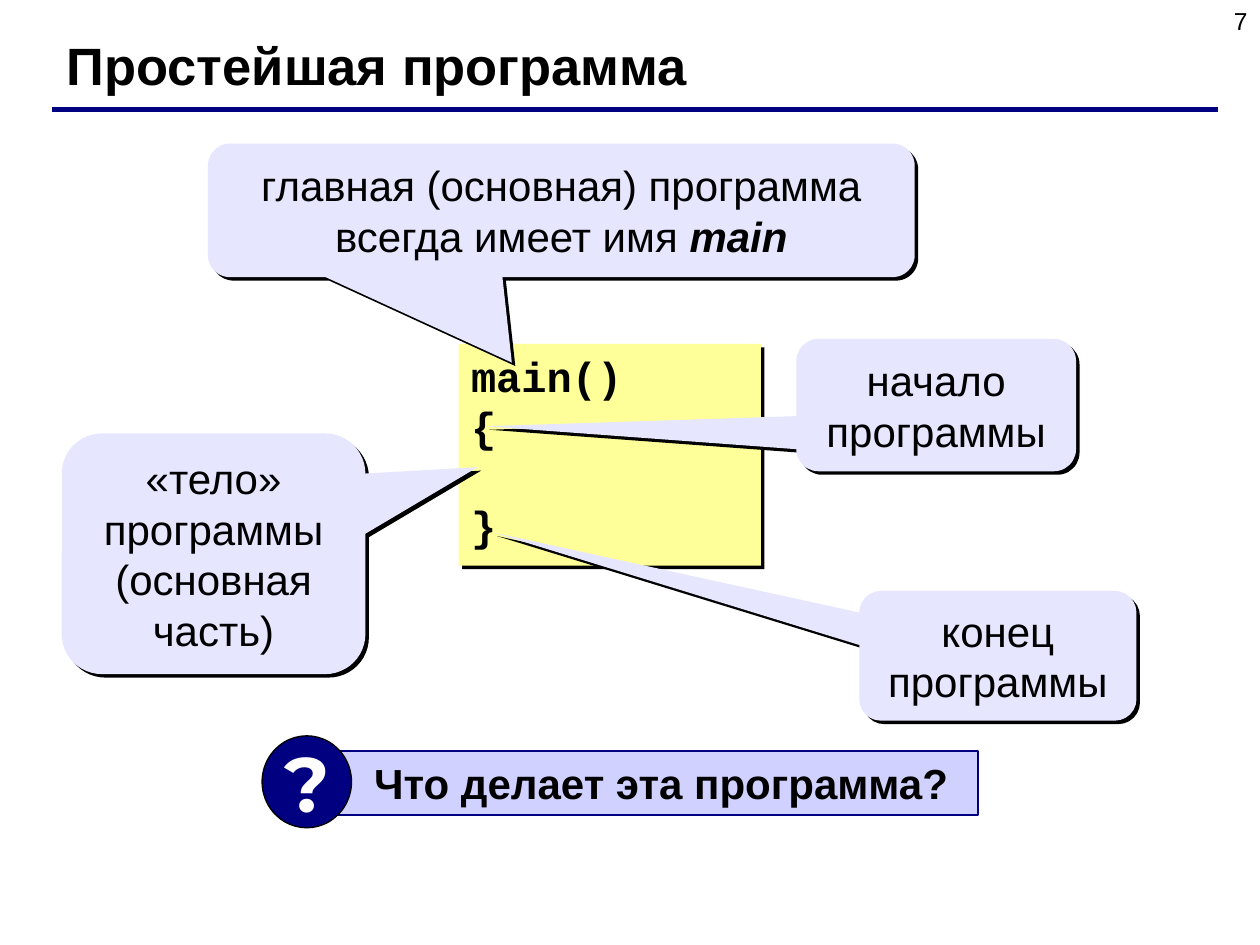
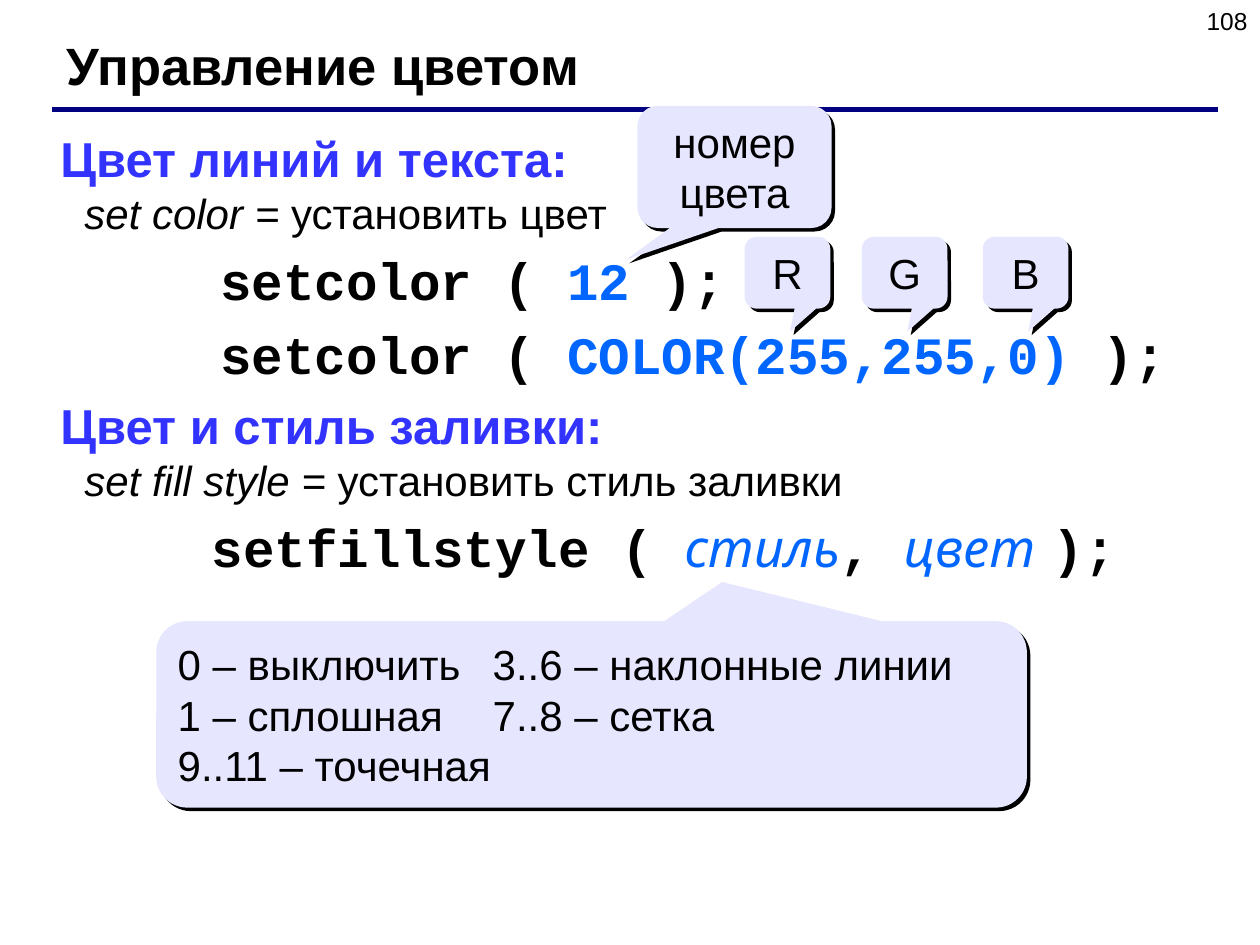
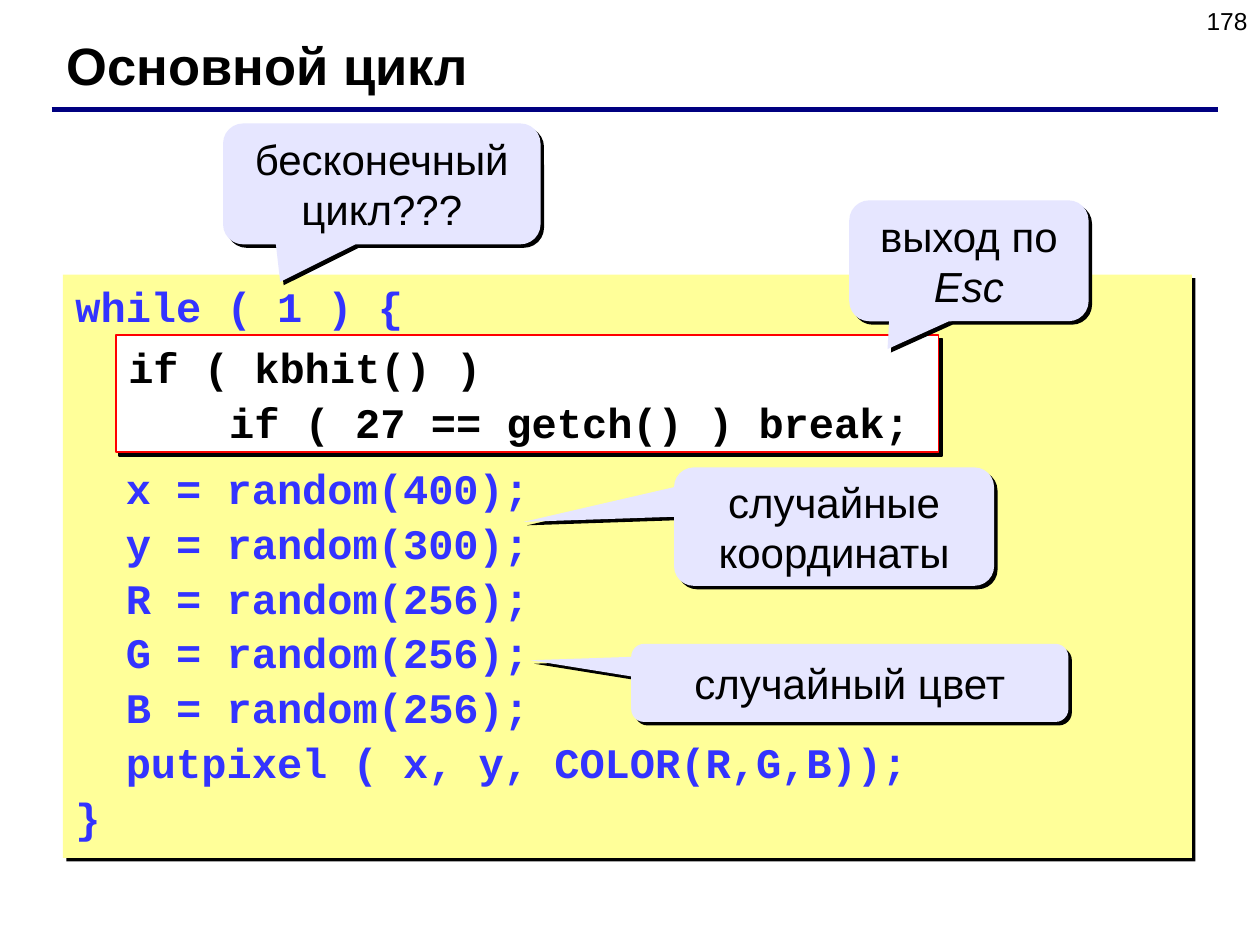
from lxml.etree import SubElement
from pptx import Presentation
from pptx.dml.color import RGBColor
from pptx.enum.shapes import MSO_CONNECTOR, MSO_SHAPE as Shape
from pptx.enum.text import MSO_ANCHOR as Anchor, MSO_AUTO_SIZE, PP_ALIGN as Align
from pptx.oxml.ns import qn
from pptx.util import Inches, Pt

COLORS = {
    "black": "000000", "white": "FFFFFF", "navy": "000080", "red": "FF0000",
    "heading": "3333FF", "argument": "0066FF", "code_box": "FFFF99",
    "callout": "E6E6FF", "question": "D1D1FF",
}
CODE = {"font": "Courier New", "bold": True}


def write(frame, *runs, size=24, font="Arial", color="black", bold=False, italic=False,
          align=Align.LEFT, left=0, before=0, tab=None):
    """Add one paragraph; a run is a string or a (string, own format) pair."""
    paragraph = frame.paragraphs[0]
    if paragraph.runs:
        paragraph = frame.add_paragraph()
    paragraph.alignment = align
    paragraph.space_before = Pt(before)
    properties = paragraph._p.get_or_add_pPr()
    properties.set("marL", str(Inches(left)))
    properties.set("indent", "0")
    SubElement(properties, qn("a:buNone"))
    if tab:
        stops = SubElement(properties, qn("a:tabLst"))
        SubElement(stops, qn("a:tab"), pos=str(Inches(tab)), algn="l")
    base = {"size": size, "font": font, "color": color, "bold": bold, "italic": italic}
    for item in runs:
        text, changes = (item, {}) if isinstance(item, str) else item
        style = {**base, **changes}
        run = paragraph.add_run()
        run.text = text
        run.font.size = Pt(style["size"])
        run.font.name = style["font"]
        run.font.bold = style["bold"]
        run.font.italic = style["italic"]
        run.font.color.rgb = RGBColor.from_string(COLORS[style["color"]])


def add_box(slide, kind, at, fill, line=None, line_width=1, pointer=None, shadow=True,
            anchor=Anchor.MIDDLE):
    """Add a filled shape and return its text frame; pointer is a callout's tip."""
    shape = slide.shapes.add_shape(kind, *map(Inches, at))
    shape.fill.solid()
    shape.fill.fore_color.rgb = RGBColor.from_string(COLORS[fill])
    if line:
        shape.line.color.rgb = RGBColor.from_string(COLORS[line])
        shape.line.width = Pt(line_width)
    else:
        shape.line.fill.background()
    if pointer:
        shape.adjustments[0], shape.adjustments[1] = pointer
    shape.shadow.inherit = False
    if shadow:
        effects = shape._element.spPr.find(qn("a:effectLst"))
        outer = SubElement(effects, qn("a:outerShdw"), dist=str(Pt(2.8)), dir="2700000",
                           algn="ctr", rotWithShape="0")
        SubElement(outer, qn("a:srgbClr"), val=COLORS["black"])
    frame = shape.text_frame
    frame.word_wrap = True
    frame.vertical_anchor = anchor
    return frame


presentation = Presentation()
presentation.slide_width, presentation.slide_height = Inches(10), Inches(7.5)
TITLE_AND_CONTENT, TITLE_ONLY = presentation.slide_layouts[1], presentation.slide_layouts[5]

# Title, rule and page number of every slide
slides = []
for layout, title_text, number in [
    (TITLE_ONLY, "Простейшая программа", "7"),
    (TITLE_AND_CONTENT, "Управление цветом", "108"),
    (TITLE_ONLY, "Основной цикл", "178"),
]:
    slide = presentation.slides.add_slide(layout)
    number_box = slide.shapes.add_textbox(Inches(7.67), 0, Inches(2.33), Inches(0.52))
    number_box.text_frame.word_wrap = True
    write(number_box.text_frame, number, size=14, align=Align.RIGHT)

    rule = slide.shapes.add_connector(
        MSO_CONNECTOR.STRAIGHT, Inches(0.41), Inches(0.87), Inches(9.67), Inches(0.87))
    rule.line.color.rgb = RGBColor.from_string(COLORS["navy"])
    rule.line.width = Pt(3)
    SubElement(rule._element.spPr, qn("a:effectLst"))

    title = slide.shapes.title
    title.left, title.top, title.width, title.height = map(Inches, (0.43, 0.21, 8.9, 0.6))
    title.text_frame.auto_size = MSO_AUTO_SIZE.NONE
    title.text_frame.vertical_anchor = Anchor.MIDDLE
    write(title.text_frame, title_text, size=30, bold=True)
    slides.append(slide)
program_slide, color_slide, loop_slide = slides

# Slide 1: the simplest program
code = add_box(program_slide, Shape.RECTANGLE, (3.64, 2.73, 2.4, 1.76), "code_box",
               anchor=Anchor.TOP)
for line, before in [("main()", 0), ("{", 0), ("}", 28)]:
    write(code, line, before=before, **CODE)

question = add_box(program_slide, Shape.RECTANGLE, (2.59, 5.96, 5.17, 0.51), "question",
                   line="navy", shadow=False)
question.margin_left = Inches(0.38)
write(question, "Что делает эта программа?", bold=True)

question_mark = add_box(program_slide, Shape.OVAL, (2.08, 5.84, 0.71, 0.73), "navy",
                        line="black", line_width=0.75, shadow=False)
question_mark.word_wrap = False
write(question_mark, "?", size=44, font="Montserrat", color="white", bold=True,
      align=Align.CENTER)

# Slide 2: calls that set colours
body = color_slide.placeholders[1]
body.left, body.top, body.width, body.height = map(Inches, (0.38, 0.97, 9.21, 3.74))
text = body.text_frame
text.auto_size = MSO_AUTO_SIZE.NONE
argument = {"color": "argument"}
parameter = {"font": "Comic Neue", "color": "argument", "bold": False, "italic": True}
heading = {"size": 28, "color": "heading", "bold": True}
call = {"size": 30, "before": 6, **CODE}
write(text, "Цвет линий и текста:", **heading)
write(text, ("set color = ", {"italic": True}), "установить цвет", left=0.19)
write(text, "setcolor ( ", ("12 ", argument), ");", left=1.27, **call)
write(text, "setcolor ( ", ("COLOR(255,255,0) ", argument), ");", left=1.27, **call)
write(text, "Цвет и стиль заливки:", before=6, **heading)
write(text, ("set fill style = ", {"italic": True}), "установить стиль заливки", left=0.19)
write(text, "setfillstyle ( ", ("стиль", parameter), ", ", ("цвет ", parameter), ");",
      left=1.2, **call)

styles = add_box(color_slide, Shape.ROUNDED_RECTANGULAR_CALLOUT, (1.24, 4.93, 6.91, 1.48),
                 "callout", pointer=(0.15, -0.71))
for line in ["0 – выключить\t3..6 – наклонные линии", "1 – сплошная\t7..8 – сетка",
             "9..11 – точечная"]:
    write(styles, line, tab=2.63)

# Slide 3: the main loop
code = add_box(loop_slide, Shape.RECTANGLE, (0.5, 2.18, 8.96, 4.63), "code_box",
               anchor=Anchor.TOP)
for line, before in [
    ("while ( 1 ) {", 0),
    ("  x = random(400);", 75),
    ("  y = random(300);", 2.5),
    ("  R = random(256);", 2.5),
    ("  G = random(256);", 2.5),
    ("  B = random(256);", 2.5),
    ("  putpixel ( x, y, COLOR(R,G,B));", 2.5),
    ("}", 2.5),
]:
    write(code, line, color="heading", before=before, **CODE)

exit_code = add_box(loop_slide, Shape.RECTANGLE, (0.92, 2.66, 6.53, 0.93), "white",
                    line="red", anchor=Anchor.TOP)
write(exit_code, "if ( kbhit() )", **CODE)
write(exit_code, "    if ( 27 == getch() ) break;", before=2.5, **CODE)

# Callouts with centred text
for slide, at, pointer, runs in [
    (program_slide, (1.65, 1.14, 5.61, 1.06), (-0.07, 1.14),
     ["главная (основная) программа всегда имеет имя ",
      ("main", {"bold": True, "italic": True})]),
    (program_slide, (6.32, 2.69, 2.22, 1.05), (-1.61, 0.16), ["начало программы"]),
    (program_slide, (0.49, 3.44, 2.41, 1.91), (0.87, -0.36),
     ["«тело» программы (основная часть)"]),
    (program_slide, (6.82, 4.69, 2.2, 1.03), (-1.82, -0.95), ["конец программы"]),
    (color_slide, (5.06, 0.84, 1.54, 0.97), (-0.56, 0.76), ["номер цвета"]),
    (color_slide, (5.91, 1.88, 0.68, 0.57), (0.03, 0.82), ["R"]),
    (color_slide, (6.84, 1.88, 0.68, 0.57), (0.03, 0.82), ["G"]),
    (color_slide, (7.8, 1.88, 0.68, 0.57), (0.03, 0.82), ["B"]),
    (loop_slide, (5.35, 3.71, 2.54, 0.94), (-0.97, -0.04), ["случайные координаты"]),
    (loop_slide, (5.01, 5.11, 3.47, 0.62), (-0.73, -0.29), ["случайный цвет"]),
    (loop_slide, (6.74, 1.59, 1.9, 0.96), (-0.34, 0.73),
     ["выход по ", ("Esc", {"italic": True})]),
    (loop_slide, (1.77, 0.98, 2.52, 0.96), (-0.32, 0.81), ["бесконечный цикл???"]),
]:
    callout = add_box(slide, Shape.ROUNDED_RECTANGULAR_CALLOUT, at, "callout", pointer=pointer)
    write(callout, *runs, align=Align.CENTER)

presentation.save("out.pptx")
